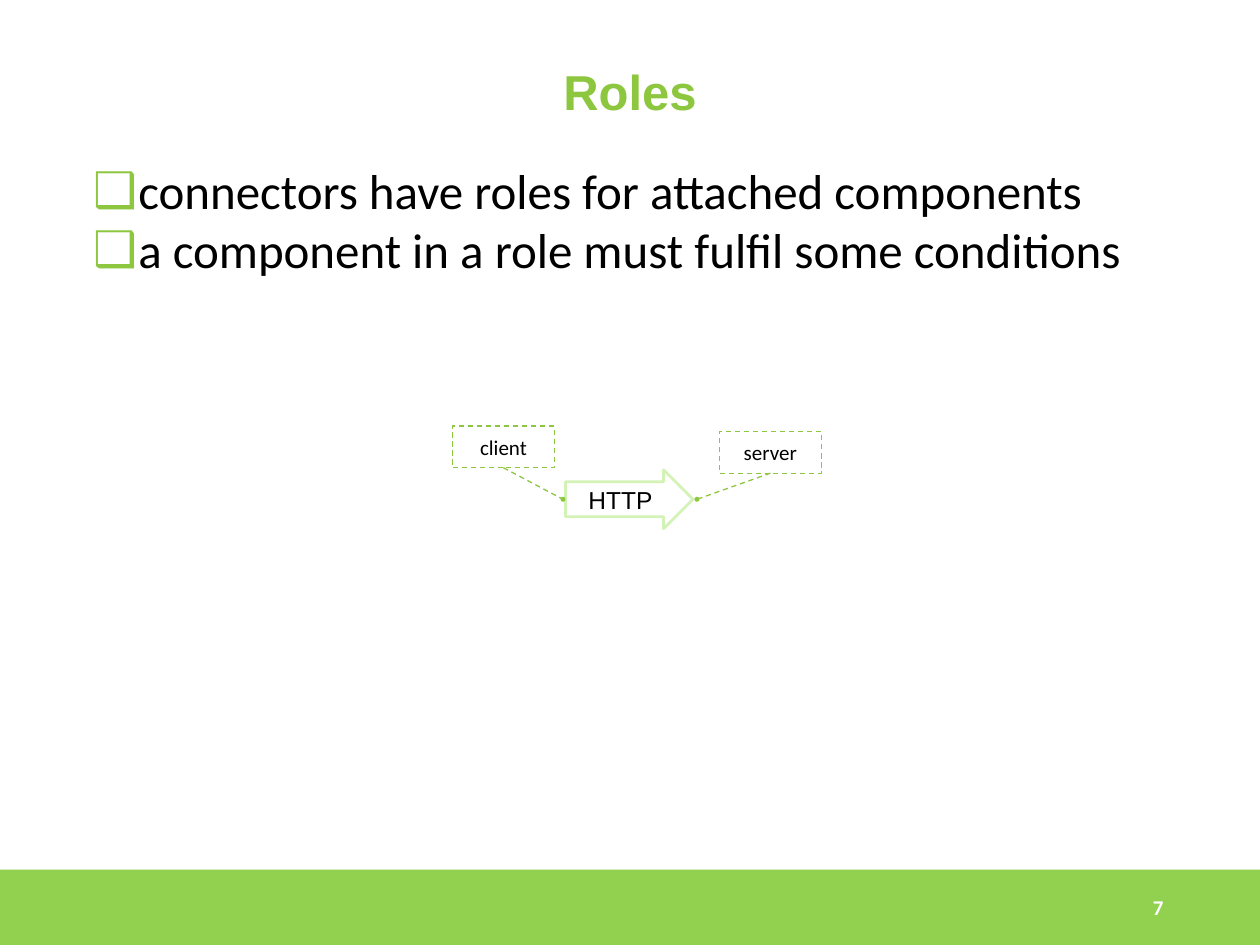
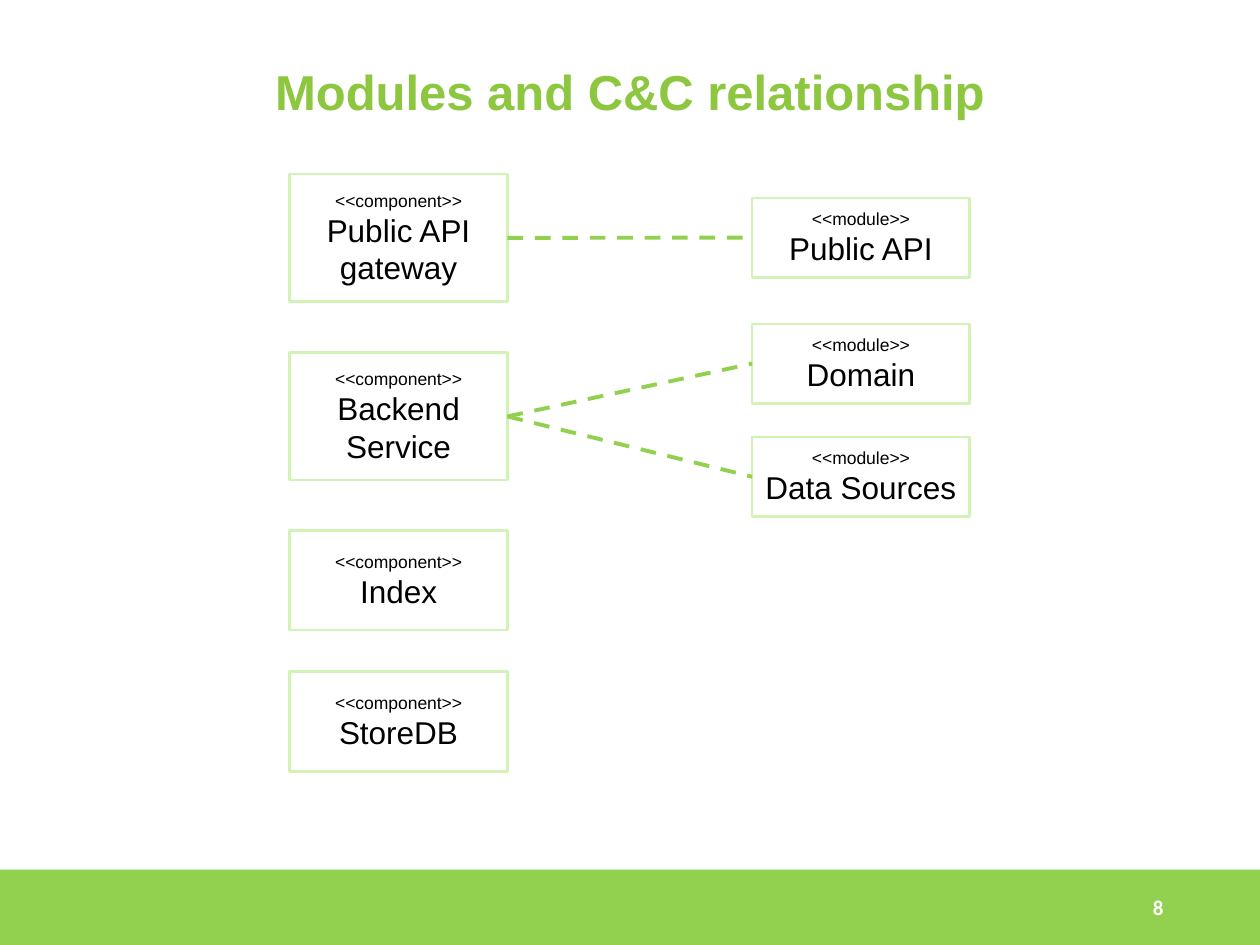
from pptx import Presentation
from pptx.dml.color import RGBColor
from pptx.enum import dml, shapes, text
from pptx.oxml import ns
from pptx.util import Cm, Pt
from lxml import etree

# Shared look
GREEN, BAND, PALE = "8DC63F", "92D050", "D3F2B6"
BLACK, WHITE = "000000", "FFFFFF"
HEADING_FONT, BODY_FONT = "Arial", "Calibri"
SLIDE_W, SLIDE_H = 25.4, 19.05
FOOTER_H = 1.52


def hex_color(value):
    return RGBColor.from_string(value)


def style_para(para, size, font=HEADING_FONT, color=BLACK, bold=False,
               align=text.PP_ALIGN.CENTER):
    para.alignment = align
    for span in para.runs:
        span.font.size = Pt(size)
        span.font.name = font
        span.font.bold = bold
        span.font.color.rgb = hex_color(color)


def style_line(line, color, width, dashed=False):
    line.color.rgb = hex_color(color)
    line.width = Pt(width)
    if dashed:
        line.dash_style = dml.MSO_LINE.DASH


def add_box(page, box, kind=shapes.MSO_SHAPE.RECTANGLE, fill=None):
    shape = page.shapes.add_shape(kind, *map(Cm, box))
    shape.shadow.inherit = False
    shape.line.fill.background()
    if fill:
        shape.fill.solid()
        shape.fill.fore_color.rgb = hex_color(fill)
    else:
        shape.fill.background()
    return shape


def write_label(shape, lines, font=HEADING_FONT):
    """Centre lines, given as (wording, size) pairs, inside a shape."""
    frame = shape.text_frame
    frame.word_wrap = True
    frame.vertical_anchor = text.MSO_ANCHOR.MIDDLE
    frame.margin_left = frame.margin_right = Cm(0.25)
    frame.margin_top = frame.margin_bottom = Cm(0.25)
    frame.text = "\n".join(wording for wording, _ in lines)
    for para, (_, size) in zip(frame.paragraphs, lines):
        style_para(para, size, font)


def add_dashed_link(page, color, width):
    link = page.shapes.add_connector(shapes.MSO_CONNECTOR.STRAIGHT, 0, 0, 0, 0)
    style_line(link.line, color, width, dashed=True)
    etree.SubElement(link._element.spPr, ns.qn("a:effectLst"))
    return link


def add_page(deck, title, number):
    """Title, green footer band and page number."""
    page = deck.slides.add_slide(deck.slide_layouts[5])
    footer_top = SLIDE_H - FOOTER_H
    add_box(page, (0, footer_top, SLIDE_W, FOOTER_H), fill=BAND)

    heading = page.shapes.title
    heading.left, heading.top, heading.width, heading.height = map(
        Cm, (1.27, 0.76, 22.86, 2.16))
    frame = heading.text_frame
    frame.text = title
    frame.auto_size = text.MSO_AUTO_SIZE.NONE
    frame.vertical_anchor = text.MSO_ANCHOR.MIDDLE
    style_para(frame.paragraphs[0], 28, color=GREEN, bold=True)

    number_box = page.shapes.add_textbox(*map(Cm, (22.99, footer_top, 2.1, FOOTER_H)))
    frame = number_box.text_frame
    frame.word_wrap = True
    frame.text = str(number)
    frame.vertical_anchor = text.MSO_ANCHOR.MIDDLE
    style_para(frame.paragraphs[0], 12, BODY_FONT, WHITE, True, text.PP_ALIGN.LEFT)
    return page


def add_bullets(page, box, items):
    frame = page.shapes.add_textbox(*map(Cm, box)).text_frame
    frame.word_wrap = True
    frame.text = "\n".join(items)
    frame.paragraphs[0].space_before = Pt(6.4)
    for para in frame.paragraphs:
        style_para(para, 28, BODY_FONT, align=text.PP_ALIGN.LEFT)
        props = para._p.get_or_add_pPr()
        props.set("marL", str(Cm(1.27)))
        props.set("indent", str(-Cm(0.91)))
        bullet_color = etree.SubElement(props, ns.qn("a:buClr"))
        etree.SubElement(bullet_color, ns.qn("a:srgbClr"), val=GREEN)
        etree.SubElement(props, ns.qn("a:buFont"), typeface=HEADING_FONT)
        etree.SubElement(props, ns.qn("a:buChar"), char="❑")


def add_connector_roles(page, box):
    """HTTP arrow with a dot at each end, each dot tied to its role."""
    left, top, width, height = box
    arrow_w, arrow_h, dot = 2.57, 1.19, 0.1
    arrow_left, arrow_top = left + 2.28, top + height - arrow_h
    middle = arrow_top + arrow_h / 2

    arrow = add_box(page, (arrow_left, arrow_top, arrow_w, arrow_h),
                    shapes.MSO_SHAPE.RIGHT_ARROW, WHITE)
    arrow.adjustments[0] = 0.59
    style_line(arrow.line, PALE, 1.5)
    write_label(arrow, [("HTTP", 14)])

    role_w, role_h = 2.06, 0.84
    roles = [("client", left, top, arrow_left - 0.05),
             ("server", left + width - role_w, top + 0.11, arrow_left + arrow_w + 0.08)]
    for name, role_left, role_top, dot_x in roles:
        add_box(page, (dot_x - dot / 2, middle - dot / 2, dot, dot),
                shapes.MSO_SHAPE.OVAL, GREEN)
        role = add_box(page, (role_left, role_top, role_w, role_h))
        style_line(role.line, GREEN, 0.75, dashed=True)
        write_label(role, [(name, 12)], BODY_FONT)
        link = add_dashed_link(page, GREEN, 0.75)
        link.begin_connect(role, 2)
        link.end_x, link.end_y = Cm(dot_x), Cm(middle)


def add_stereotype_column(page, box, stereotype, entries):
    """Column of boxes; entries are (name, offset from the top, height)."""
    left, top, width = box
    column = {}
    for name, offset, height in entries:
        shape = add_box(page, (left, top + offset, width, height))
        style_line(shape.line, PALE, 1.5)
        write_label(shape, [(f"<<{stereotype}>>", 10), (name, 18)])
        column[name] = shape
    return column


def build_roles(deck):
    page = add_page(deck, "Roles", 7)
    add_bullets(page, (1.27, 3.12, 22.86, 13.89), [
        "connectors have roles for attached components",
        "a component in a role must fulfil some conditions",
    ])
    add_connector_roles(page, (9.12, 8.59, 7.44, 2.07))


def build_relationship(deck):
    page = add_page(deck, "Modules and C&C relationship", 8)
    components = add_stereotype_column(page, (5.84, 3.51, 4.39), "component", [
        ("Public API gateway", 0, 2.57),
        ("Backend Service", 3.6, 2.57),
        ("Index", 7.18, 2.01),
        ("StoreDB", 10.03, 2.01),
    ])
    modules = add_stereotype_column(page, (15.16, 3.99, 4.39), "module", [
        ("Public API", 0, 1.6),
        ("Domain", 2.54, 1.6),
        ("Data Sources", 4.82, 1.6),
    ])
    # Which component is built from which module
    for component, module in [("Public API gateway", "Public API"),
                              ("Backend Service", "Domain"),
                              ("Backend Service", "Data Sources")]:
        link = add_dashed_link(page, BAND, 2.25)
        link.begin_connect(components[component], 3)
        link.end_connect(modules[module], 1)


def main():
    deck = Presentation()
    deck.slide_width, deck.slide_height = Cm(SLIDE_W), Cm(SLIDE_H)
    build_roles(deck)
    build_relationship(deck)
    deck.save("out.pptx")


if __name__ == "__main__":
    main()
